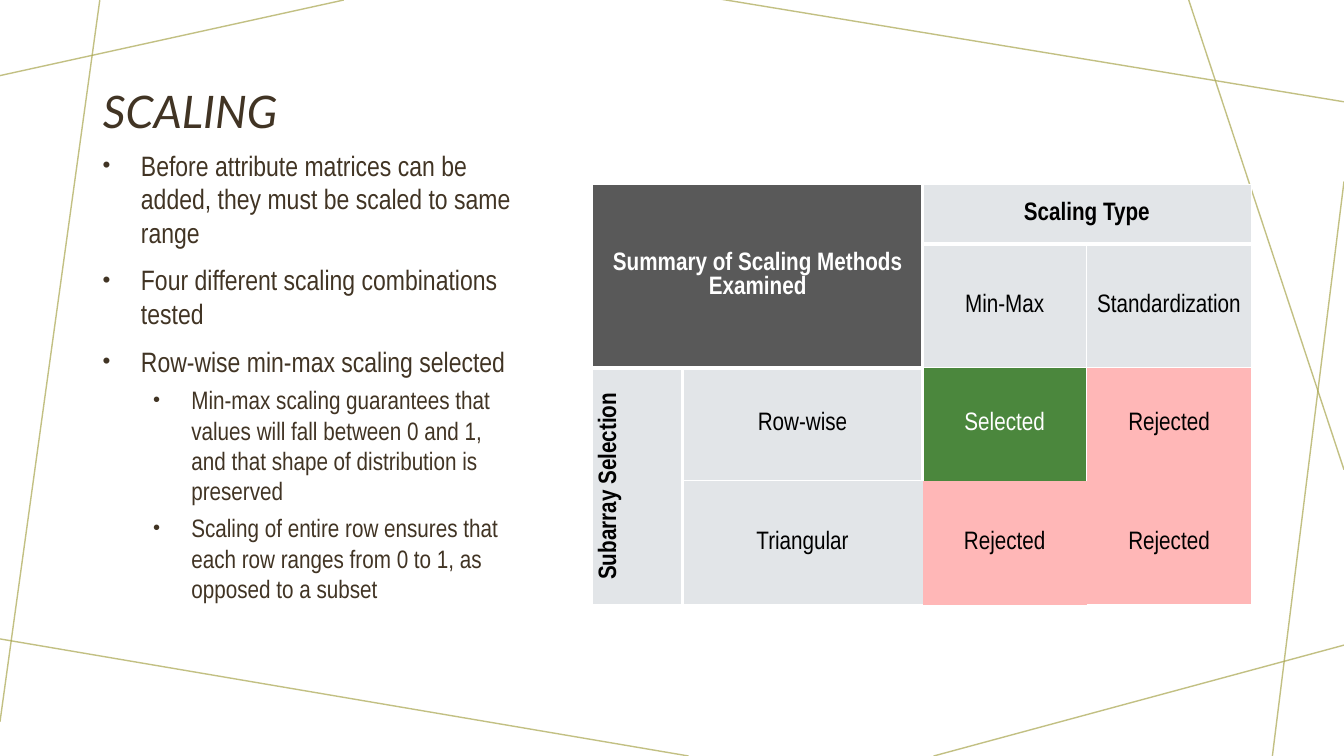
from lxml.etree import SubElement
from pptx import Presentation
from pptx.dml.color import RGBColor
from pptx.enum.shapes import MSO_CONNECTOR
from pptx.enum.text import MSO_ANCHOR, PP_ALIGN
from pptx.oxml.ns import qn
from pptx.util import Inches, Pt

WHITE, BLACK = "FFFFFF", "000000"
PALE, CHARCOAL, GREEN, PINK = "E2E5E8", "595959", "4B873D", "FFB7B7"
THIN, MEDIUM, THICK = 1, 2.25, 3


def rgb(value):
    return RGBColor.from_string(value)


class SlideBuilder:
    heading_font = "Lato"
    text_font = "Arial Narrow"
    ink = "413424"
    accent = "A9A64F"

    def __init__(self, slide):
        self.slide = slide

    def format_runs(self, paragraph, font, size, color, bold=False, italic=False):
        for run in paragraph.runs:
            run.font.name = font
            run.font.size = Pt(size)
            run.font.color.rgb = rgb(color)
            run.font.bold = bold
            run.font.italic = italic

    def title(self, text, left, top, width, height):
        heading = self.slide.shapes.title
        heading.left, heading.top = Inches(left), Inches(top)
        heading.width, heading.height = Inches(width), Inches(height)
        frame = heading.text_frame
        frame.text = text
        frame.word_wrap = True
        frame.vertical_anchor = MSO_ANCHOR.BOTTOM
        paragraph = frame.paragraphs[0]
        paragraph.alignment = PP_ALIGN.LEFT
        paragraph.line_spacing = 0.9
        self.format_runs(paragraph, self.heading_font, 32, self.ink, italic=True)

    def line(self, x1, y1, x2, y2):
        stroke = self.slide.shapes.add_connector(
            MSO_CONNECTOR.STRAIGHT, Inches(x1), Inches(y1), Inches(x2), Inches(y2))
        stroke.line.width = Pt(1)
        stroke.line.color.rgb = rgb(self.accent)
        properties = stroke._element.spPr
        color = properties.find(".//" + qn("a:srgbClr"))
        SubElement(color, qn("a:alpha"), val="70000")
        SubElement(properties, qn("a:effectLst"))

    def bullets(self, items, left, top, width, height):
        frame = self.slide.shapes.add_textbox(
            Inches(left), Inches(top), Inches(width), Inches(height)).text_frame
        frame.word_wrap = True
        for index, (level, text) in enumerate(items):
            paragraph = frame.add_paragraph() if index else frame.paragraphs[0]
            paragraph.text = text
            paragraph.level = level
            paragraph.space_before = Pt(5 if level else 10)
            self.format_runs(paragraph, self.text_font, 18 if level else 20, self.ink)
            properties = paragraph._p.get_or_add_pPr()
            properties.set("marL", str(Inches(0.38 + 0.5 * level)))
            properties.set("indent", str(Inches(-0.38)))
            SubElement(properties, qn("a:buSzPct"), val="80000")
            SubElement(properties, qn("a:buFont"), typeface="Arial")
            SubElement(properties, qn("a:buChar"), char="•")

    def table(self, left, top, widths, heights):
        grid = self.slide.shapes.add_table(
            len(heights), len(widths), Inches(left), Inches(top),
            Inches(sum(widths)), Inches(sum(heights))).table
        grid.first_row = grid.horz_banding = False
        style = grid._tbl.tblPr.find(qn("a:tableStyleId"))
        style.text = "{2D5ABB26-0587-4C30-8999-92F81FD0307C}"
        for column, width in zip(grid.columns, widths):
            column.width = Inches(width)
        for row, height in zip(grid.rows, heights):
            row.height = Inches(height)
        return grid

    def cell(self, grid, row, column, text, fill, borders, color=BLACK,
             bold=False, span=(1, 1), vertical=False):
        last_row, last_column = row + span[0] - 1, column + span[1] - 1
        origin = grid.cell(row, column)
        if span != (1, 1):
            origin.merge(grid.cell(last_row, last_column))
        for r in range(row, last_row + 1):
            for c in range(column, last_column + 1):
                self.cell_surface(grid.cell(r, c), fill, borders)
        origin.text_frame.text = text
        origin.vertical_anchor = MSO_ANCHOR.MIDDLE
        origin.margin_left = origin.margin_right = Inches(0.08)
        if vertical:
            origin._tc.tcPr.set("vert", "vert270")
        paragraph = origin.text_frame.paragraphs[0]
        paragraph.alignment = PP_ALIGN.CENTER
        paragraph.line_spacing = 1.0
        self.format_runs(paragraph, self.text_font, 18, color, bold)

    def cell_surface(self, cell, fill, borders):
        properties = cell._tc.get_or_add_tcPr()
        for side, width in zip("LRTB", borders):
            edge = SubElement(properties, qn("a:ln" + side), w=str(Pt(width)))
            if width:
                solid = SubElement(edge, qn("a:solidFill"))
                SubElement(solid, qn("a:srgbClr"), val=WHITE)
            else:
                SubElement(edge, qn("a:noFill"))
        cell.fill.solid()
        cell.fill.fore_color.rgb = rgb(fill)


def main():
    deck = Presentation()
    deck.slide_width, deck.slide_height = Inches(13.33), Inches(7.5)
    builder = SlideBuilder(deck.slides.add_slide(deck.slide_layouts[5]))

    for ends in [
        (3.41, 0, 0, 0.75), (0.99, 0, 0, 7.16), (6.83, 7.5, -0.05, 6.33),
        (13.33, 6.4, 9.26, 7.5), (13.33, 1.8, 12.62, 7.5),
        (13.33, 4.66, 11.79, 0), (13.33, 1.01, 7.14, -0.01),
    ]:
        builder.line(*ends)

    builder.title("SCALING", 0.92, 0.5, 4.3, 0.92)

    methods = builder.table(5.88, 1.83, [0.89, 2.38, 1.63, 1.63], [0.59, 1.23, 1.12, 1.23])
    builder.cell(methods, 0, 0, "Summary of Scaling Methods Examined", CHARCOAL,
                 (THIN, MEDIUM, THIN, THICK), WHITE, True, (2, 2))
    builder.cell(methods, 0, 2, "Scaling Type", PALE,
                 (MEDIUM, THIN, THIN, THICK), bold=True, span=(1, 2))
    builder.cell(methods, 1, 2, "Min-Max", PALE, (MEDIUM, THIN, THICK, THIN))
    builder.cell(methods, 1, 3, "Standardization", PALE, (THIN, THIN, THICK, THIN))
    builder.cell(methods, 2, 0, "Subarray Selection", PALE,
                 (THIN, MEDIUM, THICK, THIN), bold=True, span=(2, 1), vertical=True)
    builder.cell(methods, 2, 1, "Row-wise", PALE, (MEDIUM, MEDIUM, THICK, THIN))
    builder.cell(methods, 2, 2, "Selected", GREEN, (MEDIUM, THIN, THIN, 0), WHITE)
    builder.cell(methods, 2, 3, "Rejected", PINK, (THIN, THIN, THIN, 0))
    builder.cell(methods, 3, 1, "Triangular", PALE, (MEDIUM, 0, THIN, THIN))
    builder.cell(methods, 3, 2, "Rejected", PINK, (0, 0, 0, 0))
    builder.cell(methods, 3, 3, "Rejected", PINK, (0, THIN, 0, THIN))

    builder.bullets([
        (0, "Before attribute matrices can be added, they must be scaled to same range"),
        (0, "Four different scaling combinations tested"),
        (0, "Row-wise min-max scaling selected"),
        (1, "Min-max scaling guarantees that values will fall between 0 and 1, "
            "and that shape of distribution is preserved"),
        (1, "Scaling of entire row ensures that each row ranges from 0 to 1, "
            "as opposed to a subset"),
    ], 0.92, 1.42, 4.3, 5)

    deck.save("out.pptx")


if __name__ == "__main__":
    main()
